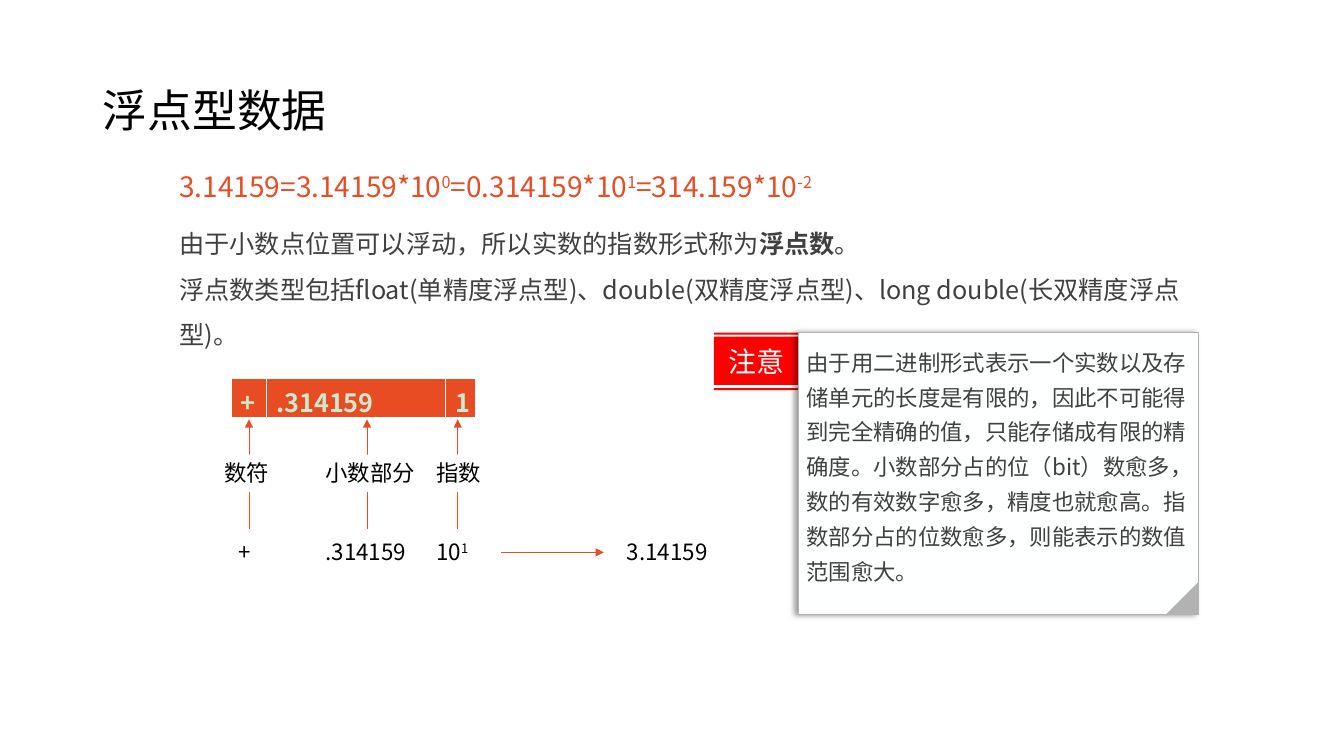
import pptx
import pptx.util
import pptx.dml.color
import pptx.enum.shapes
import pptx.enum.text
import pptx.oxml
import pptx.oxml.ns
import pptx.oxml.xmlchemy

Inches = pptx.util.Inches
Pt = pptx.util.Pt
RGBColor = pptx.dml.color.RGBColor
SHAPE = pptx.enum.shapes.MSO_SHAPE
ALIGN = pptx.enum.text.PP_ALIGN
ANCHOR = pptx.enum.text.MSO_ANCHOR
OxmlElement = pptx.oxml.xmlchemy.OxmlElement
qn = pptx.oxml.ns.qn

FONT = "Noto Sans CJK SC"
WHITE = RGBColor(0xFF, 0xFF, 0xFF)
PAPER = RGBColor(0xFE, 0xFF, 0xFF)
BLACK = RGBColor(0, 0, 0)
DARK = RGBColor(0x40, 0x40, 0x40)
ORANGE = RGBColor(0xE8, 0x4C, 0x22)
RED = RGBColor(0xFF, 0, 0)
GRAY = RGBColor(0xB2, 0xB2, 0xB2)
PALE = RGBColor(0xCC, 0xE8, 0xCF)


def add_xml(parent, tag, **attrs):
    el = OxmlElement(tag)
    for name, value in attrs.items():
        el.set(name, str(value))
    parent.append(el)
    return el


def set_attrs(obj, values):
    for name, value in values.items():
        setattr(obj, name, value)


def fill_text(tf, paragraphs, size, color, para=None, frame=None, tabs=()):
    set_attrs(tf, {"word_wrap": True, "vertical_anchor": ANCHOR.TOP, **(frame or {})})
    for i, runs in enumerate(paragraphs):
        p = tf.add_paragraph() if i else tf.paragraphs[0]
        set_attrs(p, {"alignment": ALIGN.LEFT, **(para or {})})
        if tabs:
            tab_list = add_xml(p._p.get_or_add_pPr(), "a:tabLst")
            for pos in tabs:
                add_xml(tab_list, "a:tab", pos=Inches(pos), algn="l")
        for text, style in runs:
            r = p.add_run()
            r.text = text
            set_attrs(r.font, {"size": Pt(size), "name": FONT, "bold": style == "bold"})
            r.font.color.rgb = color
            rPr = r._r.get_or_add_rPr()
            add_xml(rPr, "a:ea", typeface=FONT)
            if style == "super":
                rPr.set("baseline", "30000")


def add_text(s, box, *args, **kwargs):
    sp = s.shapes.add_textbox(*map(Inches, box))
    fill_text(sp.text_frame, *args, **kwargs)


def paint(sp, fill, line=None):
    sp.shadow.inherit = False
    sp.fill.solid()
    sp.fill.fore_color.rgb = fill
    if line is None:
        sp.line.fill.background()
    else:
        sp.line.color.rgb = line
        sp.line.width = Pt(0.75)


def add_block(s, kind, box, fill, line=None):
    sp = s.shapes.add_shape(kind, *map(Inches, box))
    paint(sp, fill, line)
    return sp


def add_arrow(s, x1, y1, x2, y2):
    line = s.shapes.add_connector(
        pptx.enum.shapes.MSO_CONNECTOR.STRAIGHT, *map(Inches, (x1, y1, x2, y2)))
    line.line.color.rgb = ORANGE
    line.line.width = Pt(0.5)
    add_xml(line.line._get_or_add_ln(), "a:tailEnd", type="triangle")
    add_xml(line._element.spPr, "a:effectLst")


def add_heading(s, box):
    add_text(s, box, [[("浮点型数据", None)]], 32, BLACK,
             para={"line_spacing": 0.9}, frame={"vertical_anchor": ANCHOR.MIDDLE})


def add_body(s, x, y):
    formula = [("3.14159=3.14159*10", None), ("0", "super"), ("=0.314159*10", None),
               ("1", "super"), ("=314.159*10", None), ("-2", "super")]
    add_text(s, (x, y, 7.71, 0.44), [formula], 20, ORANGE,
             para={"alignment": ALIGN.JUSTIFY})
    facts = [
        [("由于小数点位置可以浮动，所以实数的指数形式称为", None), ("浮点数", "bold"), ("。", None)],
        [("浮点数类型包括float(单精度浮点型)、double(双精度浮点型)、"
          "long double(长双精度浮点型)。", None)],
    ]
    add_text(s, (x, y + 0.44, 10.48, 1.46), facts, 18, DARK, para={"line_spacing": 1.5})


def add_storage_table(s, x, y):
    widths = (0.35, 1.78, 0.3)
    frame = s.shapes.add_table(1, 3, *map(Inches, (x, y, sum(widths), 0.41)))
    table = frame.table
    table.rows[0].height = Inches(0.41)
    for i, (width, text) in enumerate(zip(widths, ("+", ".314159", "1"))):
        table.columns[i].width = Inches(width)
        cell = table.cell(0, i)
        cell.margin_bottom = 0
        tcPr = cell._tc.get_or_add_tcPr()
        for side, weight in (("L", 1), ("R", 1), ("T", 1), ("B", 3)):
            ln = add_xml(tcPr, "a:ln" + side, w=Pt(weight))
            add_xml(add_xml(ln, "a:solidFill"), "a:srgbClr", val=WHITE)
        cell.fill.solid()
        cell.fill.fore_color.rgb = ORANGE
        fill_text(cell.text_frame, [[(text, "bold")]], 18, PALE,
                  para={"alignment": ALIGN.JUSTIFY})


def add_storage_diagram(s, x, y):
    add_storage_table(s, x + 0.16, y)
    for dx in (0.34, 1.51, 2.41):
        add_arrow(s, x + dx, y + 1.5, x + dx, y + 0.41)
    rows = [
        (0.76, 2.96, [("数符\t小数部分\t指数", None)], (1, 2.1)),
        (1.54, 5.57, [("\t+\t.314159\t10", None), ("1", "super"), ("\t3.14159", None)],
         (0.14, 1, 2.1, 3.99)),
    ]
    for dy, width, runs, tabs in rows:
        sp = add_block(s, SHAPE.RECTANGLE, (x, y + dy, width, 0.37), WHITE)
        fill_text(sp.text_frame, [runs], 16, BLACK, tabs=tabs)
    add_arrow(s, x + 2.84, y + 1.73, x + 3.86, y + 1.73)


def add_ribbon(s, x, y, width):
    builder = None
    for top, bottom in ((0.55, 0.57), (0.04, 0.52), (0, 0.02)):
        corners = [(Inches(x + dx), Inches(y + dy)) for dx, dy in
                   ((0, top), (width, top), (width, bottom), (0, bottom))]
        if builder is None:
            builder = s.shapes.build_freeform(*corners[0])
        else:
            builder.move_to(*corners[0])
        builder.add_line_segments(corners[1:], close=True)
    sp = builder.convert_to_shape()
    paint(sp, RED)
    fill_text(sp.text_frame, [[("注意", None)]], 20, PAPER,
              para={"alignment": ALIGN.CENTER}, frame={"vertical_anchor": ANCHOR.MIDDLE})


def add_note(s, x, y, width, height):
    add_ribbon(s, x - 0.84, y, 0.84)
    sp = add_block(s, SHAPE.RECTANGLE, (x, y, width, height), PAPER, GRAY)
    shadow = add_xml(sp._element.spPr.find(qn("a:effectLst")), "a:outerShdw",
                     blurRad=Pt(4), dist=Pt(3), dir=180 * 60000, algn="r", rotWithShape=0)
    add_xml(add_xml(shadow, "a:srgbClr", val=BLACK), "a:alpha", val=40000)
    text = ("由于用二进制形式表示一个实数以及存储单元的长度是有限的，因此不可能得到完全精确的值，"
            "只能存储成有限的精确度。小数部分占的位（bit）数愈多，数的有效数字愈多，精度也就愈高。"
            "指数部分占的位数愈多，则能表示的数值范围愈大。")
    margins = {"margin_" + side: Inches(0.08) for side in ("left", "top", "right", "bottom")}
    fill_text(sp.text_frame, [[(text, None)]], 16, DARK,
              para={"line_spacing": 1.3}, frame=margins)
    fold = 0.33
    corner = add_block(s, SHAPE.RIGHT_TRIANGLE,
                       (x + width - fold, y + height - fold, fold, fold), GRAY)
    corner.rotation = 270


def main():
    prs = pptx.Presentation()
    set_attrs(prs, {"slide_width": Inches(13.33), "slide_height": Inches(7.5)})
    s = prs.slides.add_slide(prs.slide_layouts[6])
    s.background.fill.solid()
    s.background.fill.fore_color.rgb = WHITE
    add_heading(s, (0.92, 0.4, 11.5, 1.45))
    add_body(s, 1.68, 1.63)
    add_storage_diagram(s, 2.13, 3.75)
    add_note(s, 7.92, 3.3, 3.97, 2.8)
    prs.save("out.pptx")


if __name__ == "__main__":
    main()
